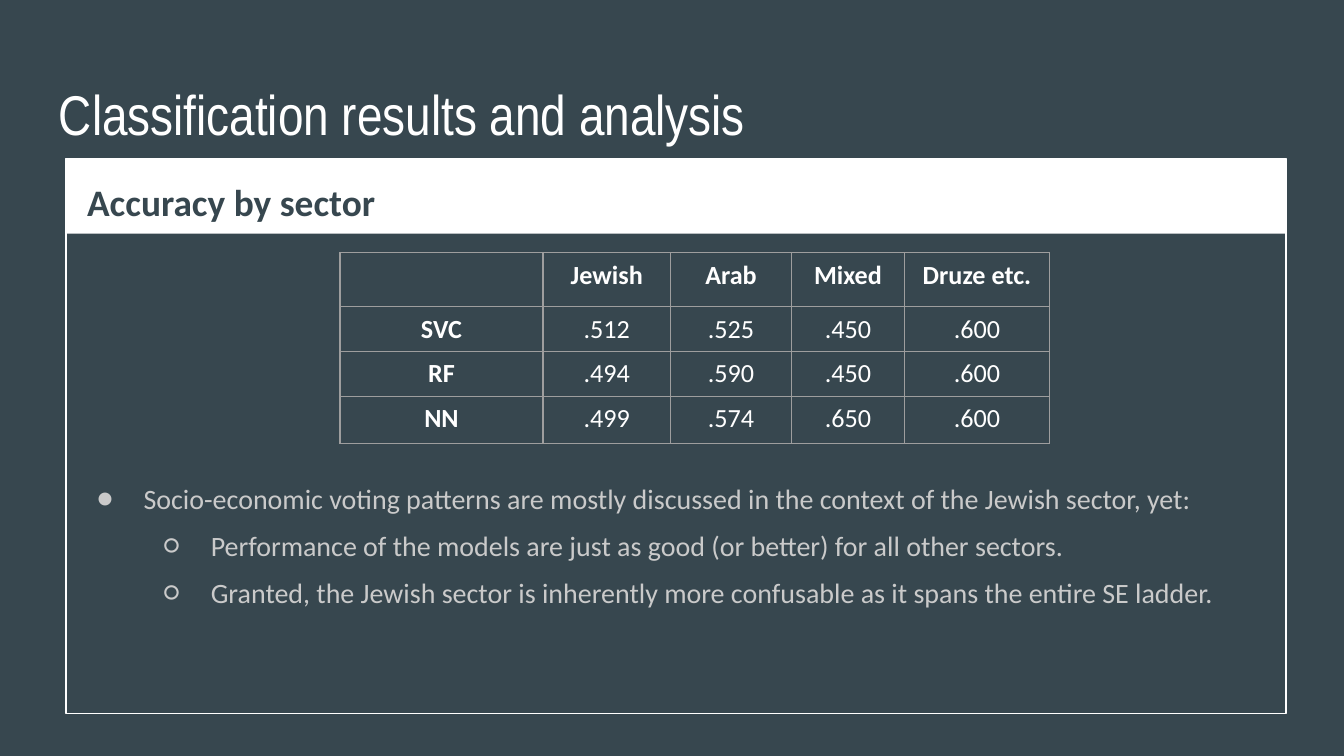
from lxml import etree
from pptx import Presentation
from pptx.dml.color import RGBColor
from pptx.enum.shapes import MSO_SHAPE
from pptx.enum.text import MSO_ANCHOR, PP_ALIGN
from pptx.oxml.ns import qn
from pptx.util import Inches, Pt

RECTANGLE = MSO_SHAPE.RECTANGLE
TOP = MSO_ANCHOR.TOP
LEFT, CENTER = PP_ALIGN.LEFT, PP_ALIGN.CENTER

SLATE = RGBColor(0x37, 0x47, 0x4F)
WHITE = RGBColor(0xFF, 0xFF, 0xFF)
PALE_GREY = RGBColor(0xCA, 0xCA, 0xCA)
GRID_GREY = RGBColor(0x9E, 0x9E, 0x9E)

# A 16:9 slide
SLIDE_W = 10
SLIDE_H = SLIDE_W * 9 / 16
PANEL = (0.49, 1.18, 9.08, 4.13)
HEADER_H = 0.56

COLUMN_WIDTHS = (1.51, 0.95, 0.9, 0.84, 1.08)
ROW_HEIGHTS = (0.38, 0.33, 0.33, 0.35)
ACCURACY = (
    ("", "Jewish", "Arab", "Mixed", "Druze etc."),
    ("SVC", ".512", ".525", ".450", ".600"),
    ("RF", ".494", ".590", ".450", ".600"),
    ("NN", ".499", ".574", ".650", ".600"),
)
FINDINGS = (
    (0, "Socio-economic voting patterns are mostly discussed in the context "
        "of the Jewish sector, yet:"),
    (1, "Performance of the models are just as good (or better) for all "
        "other sectors."),
    (1, "Granted, the Jewish sector is inherently more confusable as it "
        "spans the entire SE ladder."),
)
BULLETS = "●○"


def write(paragraph, text, *, size, color, font="Calibri", bold=False,
          align=LEFT, spacing=1.0):
    paragraph.alignment = align
    paragraph.line_spacing = spacing
    run = paragraph.add_run()
    run.text = text
    run.font.size = Pt(size)
    run.font.name = font
    run.font.bold = bold
    run.font.color.rgb = color


def add_frame(slide, box):
    frame = slide.shapes.add_textbox(*map(Inches, box)).text_frame
    frame.word_wrap = True
    frame.vertical_anchor = TOP
    frame.margin_left = frame.margin_right = Inches(0.1)
    frame.margin_top = frame.margin_bottom = Inches(0.1)
    return frame


def add_rectangle(slide, box, fill=None, line=None):
    rectangle = slide.shapes.add_shape(RECTANGLE, *map(Inches, box))
    rectangle.shadow.inherit = False
    if fill is None:
        rectangle.fill.background()
    else:
        rectangle.fill.solid()
        rectangle.fill.fore_color.rgb = fill
    if line is None:
        rectangle.line.fill.background()
    else:
        rectangle.line.color.rgb = line
        rectangle.line.width = Pt(0.75)


def set_bullet(paragraph, level):
    paragraph.level = level
    properties = paragraph._p.get_or_add_pPr()
    properties.set("marL", str(Inches(0.5 * (level + 1))))
    properties.set("indent", str(Inches(-0.35)))
    color = etree.SubElement(properties, qn("a:buClr"))
    etree.SubElement(color, qn("a:srgbClr"), val=str(PALE_GREY))
    etree.SubElement(properties, qn("a:buSzPts"), val="1500")
    etree.SubElement(properties, qn("a:buFont"), typeface="Calibri")
    etree.SubElement(properties, qn("a:buChar"), char=BULLETS[level])


def set_borders(cell):
    properties = cell._tc.get_or_add_tcPr()
    for position, side in enumerate(("a:lnL", "a:lnR", "a:lnT", "a:lnB")):
        border = etree.Element(qn(side), w=str(Pt(0.75)))
        fill = etree.SubElement(border, qn("a:solidFill"))
        etree.SubElement(fill, qn("a:srgbClr"), val=str(GRID_GREY))
        properties.insert(position, border)


def set_empty_font(paragraph):
    """Give an empty cell the font that sets its row's height."""
    end = etree.SubElement(paragraph._p, qn("a:endParaRPr"), sz="1800")
    etree.SubElement(end, qn("a:latin"), typeface="Arial")


def add_title(slide, box):
    write(add_frame(slide, box).paragraphs[0],
          "Classification results and analysis",
          size=30, color=WHITE, font="Arial Narrow")


def add_panel(slide, box):
    left, top, width, _ = box
    add_rectangle(slide, (left, top, width, HEADER_H), fill=WHITE)
    add_rectangle(slide, box, line=WHITE)
    heading = add_frame(slide, (left + 0.06, top, width - 0.08, 0.5))
    write(heading.paragraphs[0], "Accuracy by sector",
          size=20, color=SLATE, bold=True, spacing=1.15)


def add_accuracy_table(slide, left, top):
    box = (left, top, sum(COLUMN_WIDTHS), sum(ROW_HEIGHTS))
    table = slide.shapes.add_table(
        len(ROW_HEIGHTS), len(COLUMN_WIDTHS), *map(Inches, box)).table
    table.first_row = table.horz_banding = False
    for column, width in zip(table.columns, COLUMN_WIDTHS):
        column.width = Inches(width)
    for row, height in zip(table.rows, ROW_HEIGHTS):
        row.height = Inches(height)
    for r, values in enumerate(ACCURACY):
        for c, value in enumerate(values):
            cell = table.cell(r, c)
            cell.fill.background()
            set_borders(cell)
            paragraph = cell.text_frame.paragraphs[0]
            if value:
                write(paragraph, value, size=14, color=WHITE,
                      bold=r == 0 or c == 0, align=CENTER)
            else:
                set_empty_font(paragraph)


def add_findings(slide, box):
    frame = add_frame(slide, box)
    for number, (level, finding) in enumerate(FINDINGS):
        paragraph = frame.add_paragraph() if number else frame.paragraphs[0]
        write(paragraph, finding, size=15, color=PALE_GREY, spacing=1.4)
        set_bullet(paragraph, level)


def main():
    presentation = Presentation()
    presentation.slide_width = Inches(SLIDE_W)
    presentation.slide_height = Inches(SLIDE_H)
    slide = presentation.slides.add_slide(presentation.slide_layouts[6])
    slide.background.fill.solid()
    slide.background.fill.fore_color.rgb = SLATE

    left, top, width, height = PANEL
    add_title(slide, (0.34, 0.49, 9.32, 0.63))
    add_panel(slide, PANEL)
    add_accuracy_table(slide, left + 2.04, top + 0.7)
    # Findings fill the panel below the table
    findings_top = top + 2.2
    add_findings(slide, (left - 0.02, findings_top, width,
                         top + height - findings_top))
    presentation.save("out.pptx")


if __name__ == "__main__":
    main()
